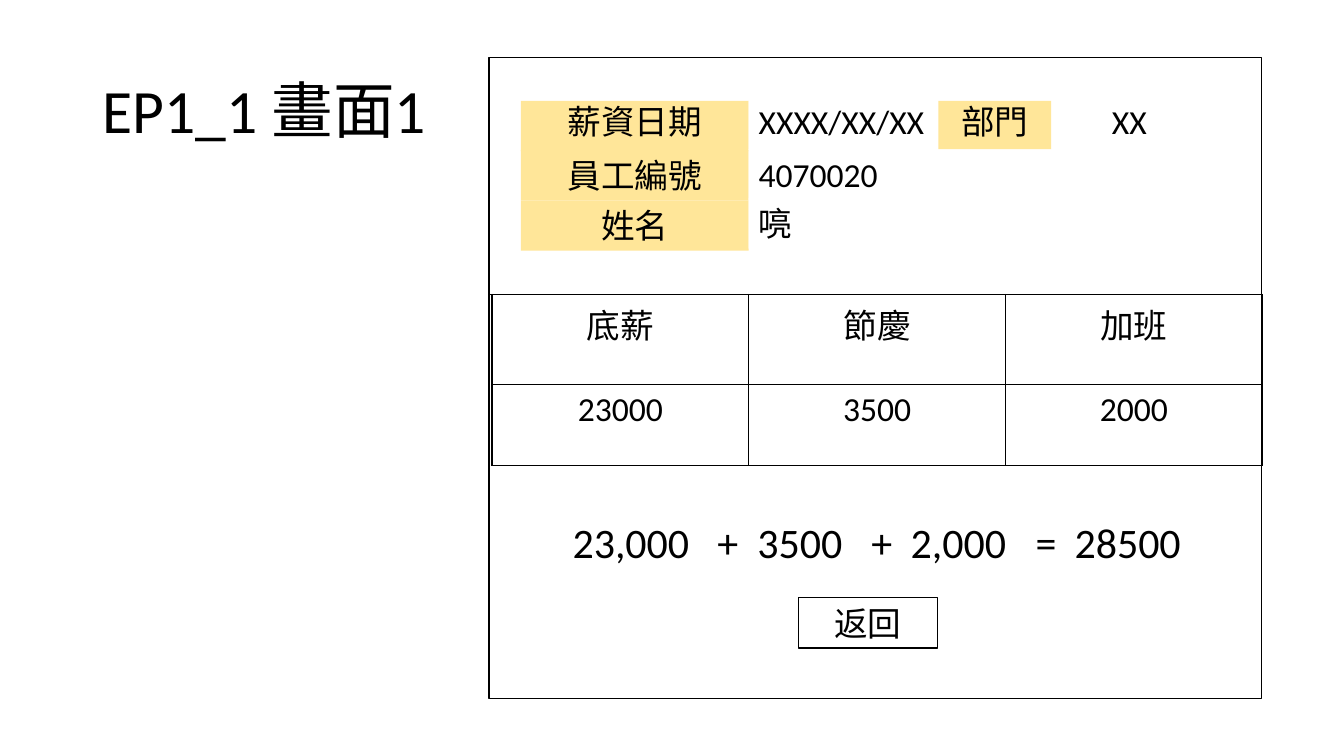
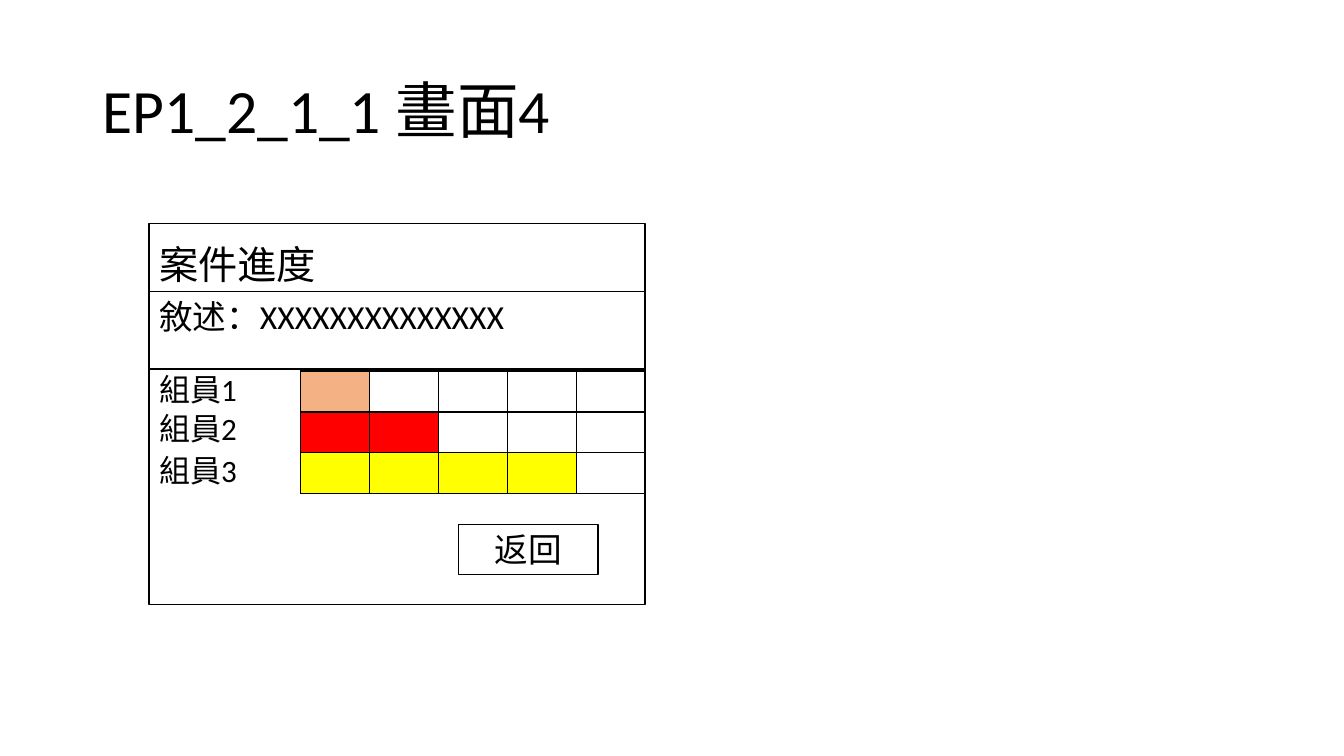
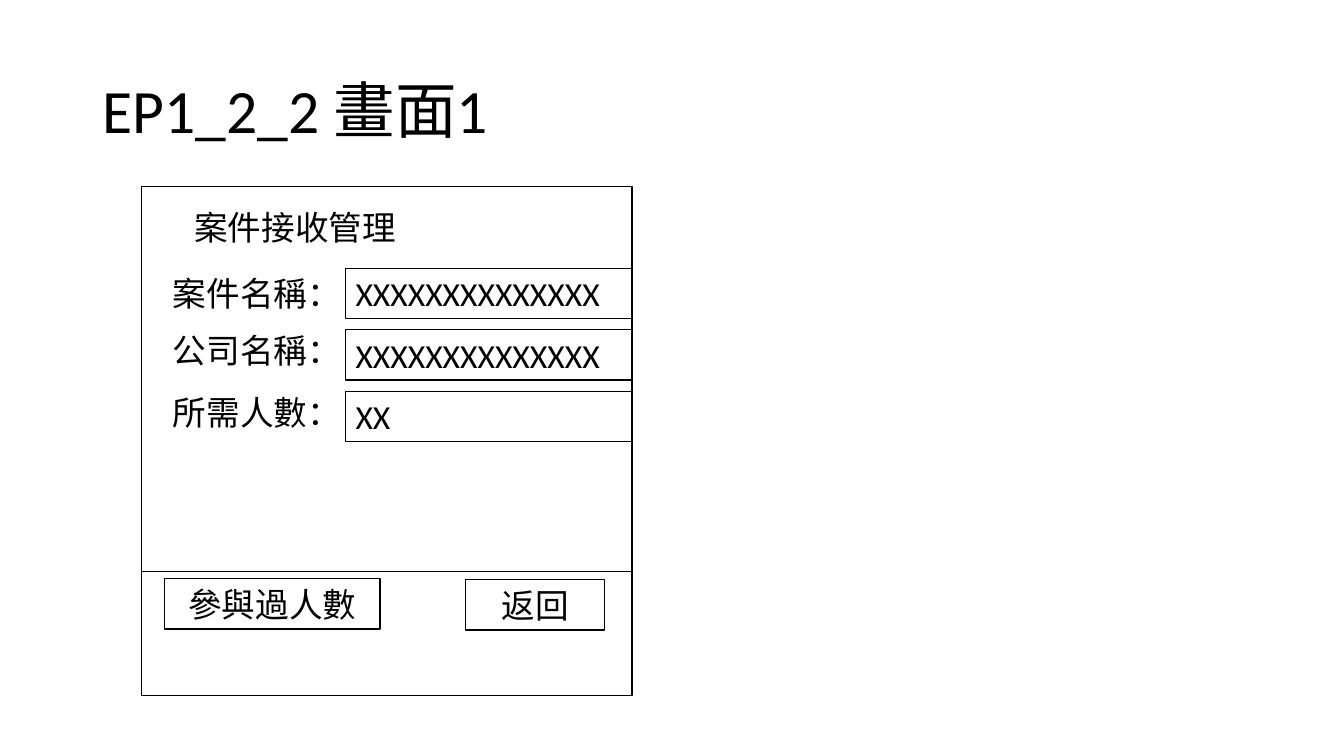
from lxml.etree import SubElement
from pptx import Presentation
from pptx.dml.color import RGBColor
from pptx.enum.shapes import MSO_CONNECTOR, MSO_SHAPE
from pptx.enum.text import MSO_ANCHOR, MSO_AUTO_SIZE, PP_ALIGN
from pptx.oxml.ns import qn
from pptx.util import Cm, Pt

# Shared look
FONT = "Calibri"
BLACK = RGBColor(0x00, 0x00, 0x00)
WHITE = RGBColor(0xFF, 0xFF, 0xFF)
CREAM = RGBColor(0xFF, 0xE6, 0x99)
PEACH = RGBColor(0xF4, 0xB1, 0x83)
RED = RGBColor(0xFF, 0x00, 0x00)
YELLOW = RGBColor(0xFF, 0xFF, 0x00)
LEFT, MID = PP_ALIGN.LEFT, PP_ALIGN.CENTER
TOP, HALF = MSO_ANCHOR.TOP, MSO_ANCHOR.MIDDLE
ROW = 1.27  # usual height of a field or button


def write(frame, text, size=24, align=LEFT, space=None, tabs=()):
    """Put one formatted paragraph into a text frame."""
    para = frame.paragraphs[0]
    para.alignment = align
    if space:
        para.line_spacing = space
    if tabs:
        stops = SubElement(para._p.get_or_add_pPr(), qn("a:tabLst"))
        for stop in tabs:
            SubElement(stops, qn("a:tab"), pos=str(Cm(stop)), algn="l")
    run = para.add_run()
    run.text = text
    run.font.size = Pt(size)
    run.font.name = FONT
    run.font.color.rgb = BLACK


def box(slide, area, text="", fill=WHITE, edge=False, anchor=TOP,
        inset=0.25, right=0.25, **style):
    """Draw a rectangle, with text if given."""
    shape = slide.shapes.add_shape(MSO_SHAPE.RECTANGLE, *map(Cm, area))
    shape.shadow.inherit = False
    if fill is None:
        shape.fill.background()
    else:
        shape.fill.solid()
        shape.fill.fore_color.rgb = fill
    if edge:
        shape.line.color.rgb = BLACK
        shape.line.width = Pt(1)
    else:
        shape.line.fill.background()
    if text:
        frame = shape.text_frame
        frame.word_wrap = True
        frame.vertical_anchor = anchor
        frame.margin_left, frame.margin_right = Cm(inset), Cm(right)
        write(frame, text, **style)


def panel(slide, *area):
    box(slide, area, fill=None, edge=True)


def button(slide, left, top, text="返回", width=3.51):
    box(slide, (left, top, width, ROW), text, edge=True, anchor=HALF,
        align=MID)


def rule(slide, left, right, top):
    """Draw a thin level line."""
    line = slide.shapes.add_connector(
        MSO_CONNECTOR.STRAIGHT, Cm(left), Cm(top), Cm(right), Cm(top))
    line.line.color.rgb = BLACK
    line.line.width = Pt(0.5)
    SubElement(line._element.spPr, qn("a:effectLst"))


def outline(cell):
    """Give a cell four black borders."""
    props = cell._tc.get_or_add_tcPr()
    for place, side in enumerate(("lnL", "lnR", "lnT", "lnB")):
        line = SubElement(props, qn("a:" + side), w=str(Pt(1)))
        ink = SubElement(SubElement(line, qn("a:solidFill")),
                         qn("a:srgbClr"))
        ink.set("val", str(BLACK))
        props.remove(line)
        props.insert(place, line)


def grid(slide, left, top, width, heights, cells):
    """Build a table; each cell is a pair of text and fill."""
    count = len(cells[0])
    table = slide.shapes.add_table(
        len(cells), count, Cm(left), Cm(top), Cm(width * count),
        Cm(sum(heights))).table
    table.first_row = table.horz_banding = False
    for col in table.columns:
        col.width = Cm(width)
    for row, height, items in zip(table.rows, heights, cells):
        row.height = Cm(height)
        for cell, (text, fill) in zip(row.cells, items):
            if fill is None:
                cell.fill.background()
            else:
                cell.fill.solid()
                cell.fill.fore_color.rgb = fill
            outline(cell)
            if text:
                write(cell.text_frame, text, align=MID)


def page(deck, title):
    """Add a slide with its title."""
    slide = deck.slides.add_slide(deck.slide_layouts[5])
    head = slide.shapes.title
    head.left, head.top = Cm(2.33), Cm(1.01)
    head.width, head.height = Cm(29.21), Cm(3.68)
    head.text_frame.auto_size = MSO_AUTO_SIZE.NONE
    head.text_frame.vertical_anchor = HALF
    write(head.text_frame, title, size=44, space=0.9)
    return slide


def salary(deck):
    slide = page(deck, "EP1_1 畫面1")
    panel(slide, 12.32, 1.45, 19.48, 16.15)
    # Staff details
    rows = (("薪資日期", 2.54, "XXXX/XX/XX", 2.54, 0.9),
            ("員工編號", 3.78, "4070020", 3.76, None),
            ("姓名", 5.05, "喨", 5, None))
    for label, top, value, level, space in rows:
        box(slide, (13.13, top, 5.74, ROW), label, fill=CREAM, align=MID,
            space=space)
        box(slide, (18.87, level, 4.95, ROW), value, space=space)
    box(slide, (23.65, 2.54, 2.84, 1.22), "部門", fill=CREAM, align=MID,
        space=0.9)
    box(slide, (26.82, 2.54, 3.28, 1.22), "XX", align=MID, space=0.9)
    # Pay items and their sum
    rule(slide, 12.32, 31.83, 7.42)
    box(slide, (13.13, 12.88, 17.91, 2.06),
        "23,000\t+\t3500\t+\t2,000\t=\t28500", size=30, inset=1.3,
        tabs=(3.65, 4.66, 7.53, 8.52, 11.67, 12.65))
    button(slide, 20.12, 15.06)
    pay = (("底薪", "節慶", "加班"), ("23000", "3500", "2000"))
    grid(slide, 12.4, 7.42, 6.47, (2.27, 2.04),
         [[(text, None) for text in row] for row in pay])


def status(deck):
    slide = page(deck, "EP1_2_1_1 畫面4")
    panel(slide, 3.76, 5.64, 12.5, 9.6)
    box(slide, (3.76, 5.92, 11.3, ROW), "案件進度", fill=None, size=28)
    button(slide, 11.56, 13.21)
    box(slide, (3.76, 7.34, 12.5, 1.96), "敘述：XXXXXXXXXXXXXX", edge=True)
    # Progress bars: filled cells out of five
    bars = ((PEACH, 1), (RED, 2), (YELLOW, 4))
    grid(slide, 7.57, 9.35, 1.74, (1.02,) * 3,
         [[("", fill if step < done else None) for step in range(5)]
          for fill, done in bars])
    for number, top in enumerate((9.32, 10.29, 11.35), 1):
        box(slide, (3.76, top, 3.73, 1.12), f"組員{number}", fill=None,
            size=22.2, space=0.9)


def intake(deck):
    slide = page(deck, "EP1_2_2 畫面1")
    panel(slide, 3.56, 4.7, 12.37, 12.83)
    box(slide, (3.91, 5.08, 7.06, ROW), "案件接收管理", align=MID)
    # Form fields
    fields = (("案件名稱：", 6.76, "XXXXXXXXXXXXXX"),
              ("公司名稱：", 8.18, "XXXXXXXXXXXXXX"),
              ("所需人數：", 9.75, "XX"))
    for index, (label, top, value) in enumerate(fields):
        box(slide, (4.11, top, 4.6, ROW), label, right=0)
        box(slide, (8.71, 6.76 + 1.55 * index, 7.2, ROW), value, edge=True)
    # Buttons
    rule(slide, 3.58, 15.95, 14.4)
    button(slide, 4.14, 14.58, "參與過人數", 5.44)
    button(slide, 11.73, 14.61)


def main():
    deck = Presentation()
    deck.slide_width, deck.slide_height = Cm(33.87), Cm(19.05)
    for build in (salary, status, intake):
        build(deck)
    deck.save("out.pptx")


if __name__ == "__main__":
    main()
